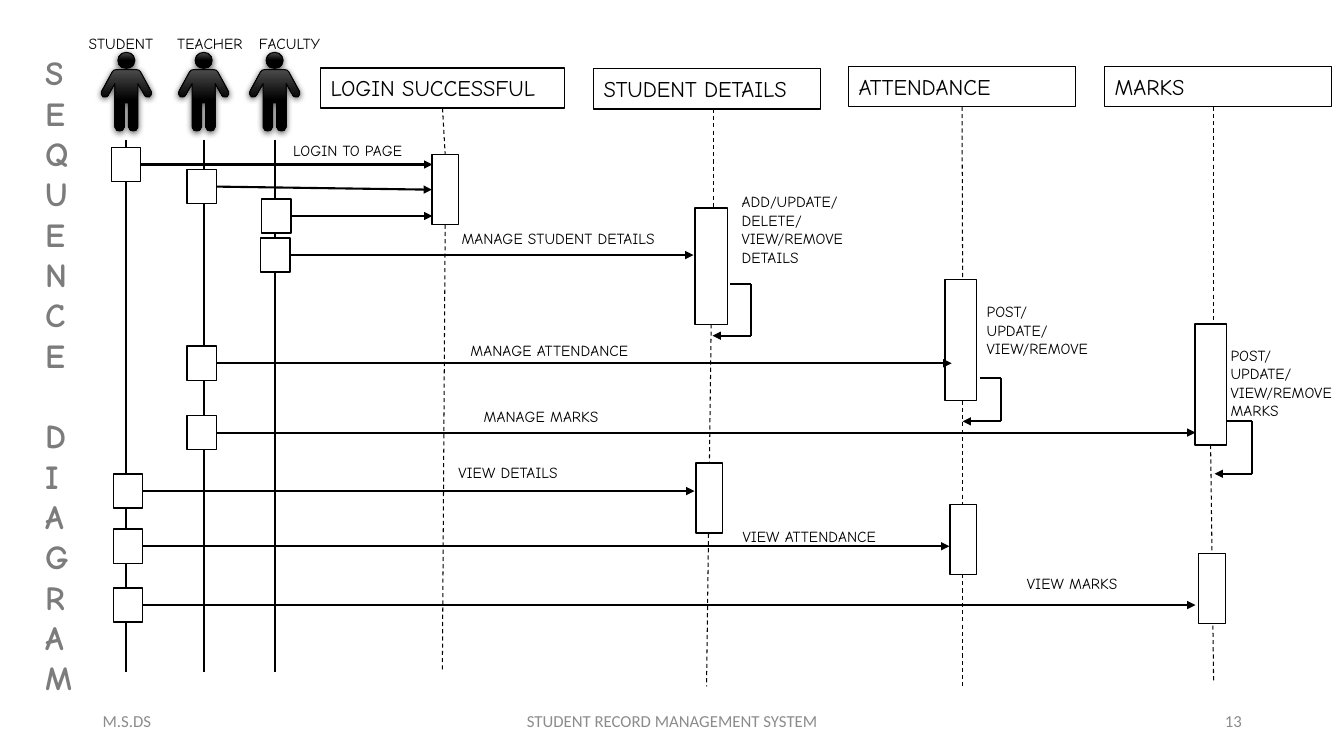
from collections import namedtuple

from lxml.etree import SubElement
from pptx import Presentation
from pptx.dml.color import RGBColor
from pptx.enum.dml import MSO_LINE
from pptx.enum.shapes import MSO_CONNECTOR, MSO_SHAPE
from pptx.enum.text import MSO_ANCHOR, PP_ALIGN
from pptx.oxml.ns import qn
from pptx.util import Pt

BLACK = RGBColor(0x00, 0x00, 0x00)
CHARCOAL = RGBColor(0x4B, 0x4B, 0x4B)
WHITE = RGBColor(0xFF, 0xFF, 0xFF)
TITLE_GRAY = RGBColor(0x7C, 0x7C, 0x7C)
FOOTER_GRAY = RGBColor(0x8C, 0x8C, 0x8C)
COMIC, CALIBRI = "Comic Neue", "Calibri"
TOP, LEFT, BOTTOM, RIGHT = range(4)

Box = namedtuple("Box", "left top width height")

# Right half of the body, from shoulder to crotch, relative to the neck
BODY_HALF = [(7, 0), (9, 0.5), (10, 1.5), (17.8, 15.8), (17.8, 17.8), (16.5, 19.5),
             (14.5, 19.5), (13.2, 18.7), (8.2, 10), (8.2, 41), (7, 43.2), (5, 43.9),
             (2.8, 43.2), (1.5, 41), (1.5, 23.8)]

# Name, lifeline x, label left
ACTORS = [("STUDENT", 90.3, 56.2), ("TEACHER", 145.5, 119.5), ("FACULTY", 196.2, 177.8)]

# Name, head, activation, later activation, lifeline x values
# (None joins the lifeline to the middle of the side), lifeline foot
COLUMNS = [
    ("LOGIN SUCCESSFUL", Box(229, 48.5, 174.2, 28.8), Box(308.5, 110.5, 19, 50), None,
     (None, None, None, 316), 480.2),
    ("STUDENT DETAILS", Box(424, 49, 162, 28.8), Box(496.5, 148.7, 23, 83),
     Box(497.1, 330.8, 19, 50), (509.8, 509.8, None, 504.7), 490.3),
    ("ATTENDANCE", Box(606.2, 47.5, 162, 28.8), Box(675.1, 199.8, 22.3, 86.4),
     Box(678.5, 360.2, 19, 50), (None, 687.6, 687.6, 687.6), 492.5),
    ("MARKS", Box(789.1, 47.5, 162, 28.8), Box(853.6, 231.5, 22.3, 86.4),
     Box(856.3, 395.5, 19, 50), (866.9, 866.9, None, 866.9), 487.4),
]

# Sender x, y, arrow tip (None joins the login activation), label, label left, label top
MESSAGES = [
    (90, 117.5, 308.9, "LOGIN TO PAGE", 202.3, 97.2),
    (144, 133.3, None, None, 0, 0),
    (197.3, 154.3, 308.9, None, 0, 0),
    (196.6, 182.2, 495.4, "MANAGE STUDENT DETAILS", 322.6, 159.8),
    (144, 259.5, 679.7, "MANAGE ATTENDANCE", 329, 239.8),
    (144, 309, 853.9, "MANAGE MARKS", 338.4, 287.3),
    (91.4, 350.8, 496.1, "VIEW DETAILS", 320.4, 327.6),
    (91.4, 390.2, 678.2, "VIEW ATTENDANCE", 523.4, 373),
    (91.4, 432.2, 853.9, "VIEW MARKS", 726.5, 406.8),
]

# Loop box with the arrow tip's x, note, note box
SELF_CALLS = [
    (Box(521.3, 203, 15.1, 36.8), 509, "ADD/UPDATE/DELETE/\nVIEW/REMOVE DETAILS",
     Box(522.7, 133.9, 103, 60.5)),
    (Box(699.8, 270, 15, 31), 687.6, "POST/\nUPDATE/\nVIEW/REMOVE",
     Box(697.7, 212.4, 108, 47.5)),
    (Box(876.2, 301, 18, 37.4), 867.6, "POST/\nUPDATE/\nVIEW/REMOVE\nMARKS",
     Box(871.9, 243.4, 100, 60.5)),
]


def in_points(values):
    return [Pt(value) for value in values]


def write(frame, text, size, font=COMIC, color=BLACK, bold=False,
          align=PP_ALIGN.LEFT, anchor=MSO_ANCHOR.TOP):
    frame.word_wrap = True
    frame.vertical_anchor = anchor
    frame.text = text
    for para in frame.paragraphs:
        para.alignment = align
        for span in para.runs:
            span.font.size = Pt(size)
            span.font.name = font
            span.font.bold = bold
            span.font.color.rgb = color


def add_text(page, box, text, size=11, **look):
    frame = page.shapes.add_textbox(*in_points(box)).text_frame
    write(frame, text, size, **look)
    return frame


def add_rect(page, box):
    rect = page.shapes.add_shape(MSO_SHAPE.RECTANGLE, *in_points(box))
    rect.shadow.inherit = False
    rect.fill.solid()
    rect.fill.fore_color.rgb = WHITE
    rect.line.color.rgb = BLACK
    rect.line.width = Pt(1)
    return rect


def add_line(page, start, end, width=1.5, dashed=False, arrow=False):
    """Draw a line; each end is an (x, y) point or a (shape, side) to join."""
    line = page.shapes.add_connector(MSO_CONNECTOR.STRAIGHT, 0, 0, 0, 0)
    (line.begin_x, line.begin_y), (line.end_x, line.end_y) = [
        (0, 0) if hasattr(spot[0], "shape_id") else in_points(spot) for spot in (start, end)]
    if hasattr(start[0], "shape_id"):
        line.begin_connect(*start)
    if hasattr(end[0], "shape_id"):
        line.end_connect(*end)
    line.line.color.rgb = BLACK
    line.line.width = Pt(width)
    if dashed:
        line.line.dash_style = MSO_LINE.DASH
    properties = line.element.spPr
    if arrow:
        SubElement(properties.find(qn("a:ln")), qn("a:tailEnd"), type="triangle")
    SubElement(properties, qn("a:effectLst"))


def shade_figure(part):
    part.fill.gradient()
    part.fill.gradient_angle = 270
    for stop, position, color in zip(part.fill.gradient_stops, (0, 0.5), (CHARCOAL, BLACK)):
        stop.position = position
        stop.color.rgb = color
    part.line.color.rgb = BLACK
    part.line.width = Pt(0.75)
    part.shadow.inherit = False
    effects = part.element.spPr.find(qn("a:effectLst"))
    shadow = SubElement(effects, qn("a:outerShdw"), blurRad=str(Pt(4.5)),
                        dist=str(Pt(1.5)), dir="5400000", rotWithShape="0")
    tint = SubElement(shadow, qn("a:srgbClr"), val="000000")
    SubElement(tint, qn("a:alpha"), val="63000")


def add_actor(page, name, center, label_left):
    figure = page.shapes.add_group_shape().shapes
    head = figure.add_shape(MSO_SHAPE.OVAL, *in_points((center - 6.1, 37.4, 12.2, 11.5)))
    outline = BODY_HALF + [(-x, y) for x, y in reversed(BODY_HALF)]
    points = [in_points((center + x, 49.7 + y)) for x, y in outline]
    builder = figure.build_freeform(*points[0])
    builder.add_line_segments(points[1:], close=True)
    for part in (head, builder.convert_to_shape()):
        shade_figure(part)
    add_line(page, (center, 100), (center, 480.2))
    add_text(page, Box(label_left, 20.7, 71.3, 20.9), name)


def add_column(page, name, head_box, active_box, later_box, xs, foot):
    """Draw a head with its lifeline and return the first activation."""
    head = add_rect(page, head_box)
    write(head.text_frame, name, 16, anchor=MSO_ANCHOR.MIDDLE)
    active = add_rect(page, active_box)
    head_x, active_x, leave_x, foot_x = xs
    start = (head_x, head_box.top + head_box.height) if head_x else (head, BOTTOM)
    arrive = (active_x, active_box.top) if active_x else (active, TOP)
    leave = (leave_x, active_box.top + active_box.height) if leave_x else (active, BOTTOM)
    add_line(page, start, arrive, 0.75, dashed=True)
    add_line(page, leave, (foot_x, foot), 0.75, dashed=True)
    if later_box:
        add_rect(page, later_box)
    return active


def add_message(page, login, x, y, tip, label, label_left, label_top):
    sender = add_rect(page, Box(x - 10.5, y - 12.25, 21, 24.5))
    add_line(page, (sender, RIGHT), (tip, y) if tip else (login, LEFT), arrow=True)
    if label:
        add_text(page, Box(label_left, label_top, 167.8, 20.9), label)


def add_self_call(page, loop, tip, note, note_box):
    right, bottom = loop.left + loop.width, loop.top + loop.height
    add_line(page, (loop.left, loop.top), (right, loop.top))
    add_line(page, (right, loop.top), (right, bottom))
    add_line(page, (right, bottom), (tip, bottom), arrow=True)
    add_text(page, note_box, note)


def add_side_title(page, box):
    first, second = "SEQUENCE", "DIAGRAM"
    frame = add_text(page, box, "\n".join(first + second), 24, color=TITLE_GRAY, bold=True)
    frame.paragraphs[len(first)].space_before = Pt(28.9)


def add_footer(page, top):
    for left, width, text, align in [
            (66.2, 216, "M.S.DS", PP_ALIGN.LEFT),
            (318.2, 324, "STUDENT RECORD MANAGEMENT SYSTEM", PP_ALIGN.CENTER),
            (678.2, 216, "13", PP_ALIGN.RIGHT)]:
        add_text(page, Box(left, top, width, 28.8), text, 12, font=CALIBRI,
                 color=FOOTER_GRAY, align=align, anchor=MSO_ANCHOR.MIDDLE)


def main():
    deck = Presentation()
    deck.slide_width, deck.slide_height = Pt(960), Pt(540)
    page = deck.slides.add_slide(deck.slide_layouts[6])
    add_footer(page, 500.4)
    for actor in ACTORS:
        add_actor(page, *actor)
    login = [add_column(page, *column) for column in COLUMNS][0]
    for message in MESSAGES:
        add_message(page, login, *message)
    for call in SELF_CALLS:
        add_self_call(page, *call)
    add_side_title(page, Box(25.2, 33.8, 46.8, 472.3))
    deck.save("out.pptx")


if __name__ == "__main__":
    main()
